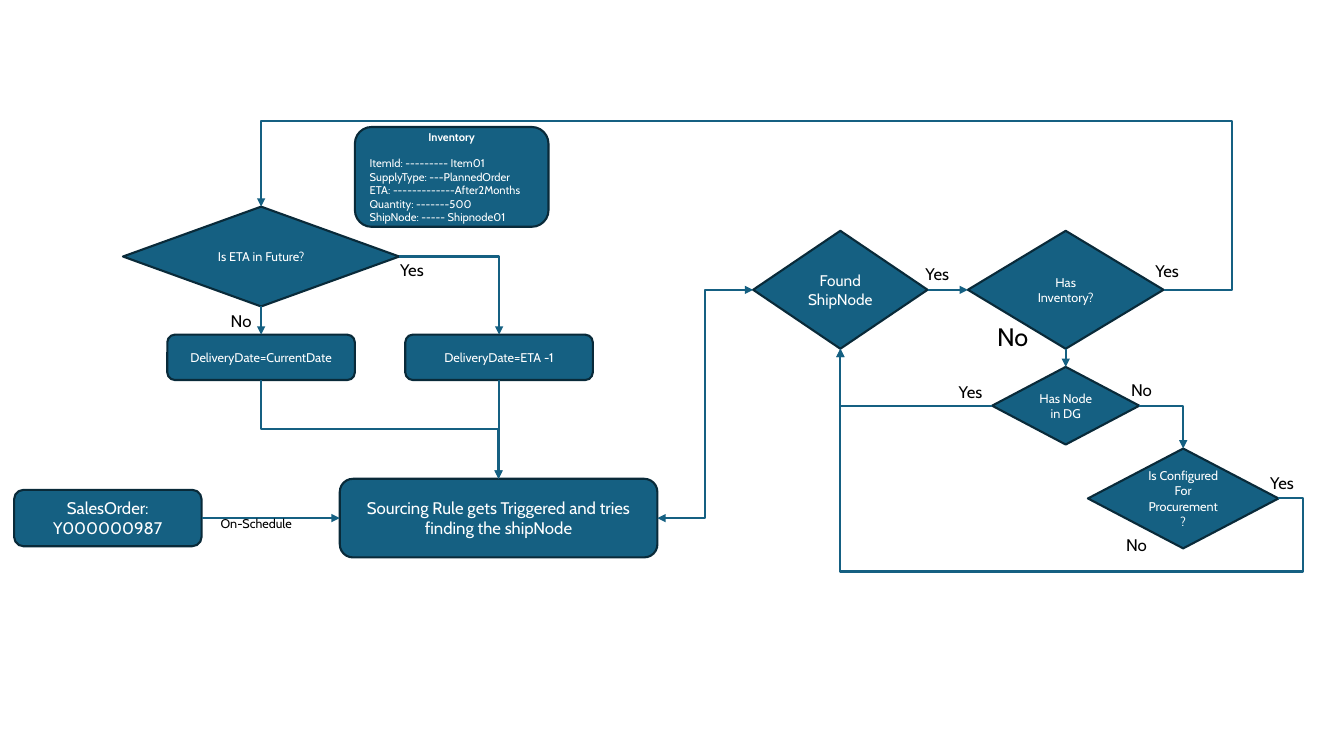
"""Build the order sourcing flowchart slide."""
from dataclasses import dataclass
from enum import IntEnum
from typing import Any, Optional

from pptx import Presentation
from pptx.dml.color import RGBColor
from pptx.enum.shapes import MSO_CONNECTOR, MSO_SHAPE
from pptx.enum.text import MSO_ANCHOR, MSO_AUTO_SIZE, PP_ALIGN
from pptx.oxml.ns import qn
from pptx.oxml.xmlchemy import OxmlElement
from pptx.shapes.autoshape import Shape
from pptx.slide import Slide
from pptx.text.text import TextFrame
from pptx.util import Inches, Pt


@dataclass(frozen=True)
class Theme:
    font: str = "Cabin"
    fill: RGBColor = RGBColor(0x15, 0x60, 0x82)
    outline: RGBColor = RGBColor(0x09, 0x2A, 0x39)
    light: RGBColor = RGBColor(0xFF, 0xFF, 0xFF)
    dark: RGBColor = RGBColor(0x00, 0x00, 0x00)
    line: float = 1.5
    tiny: float = 8
    small: float = 9
    medium: float = 11
    normal: float = 12
    large: float = 18


THEME = Theme()


class Side(IntEnum):
    TOP = 0
    LEFT = 1
    BOTTOM = 2
    RIGHT = 3


@dataclass(frozen=True)
class Node:
    name: str
    preset: MSO_SHAPE
    left: float
    top: float
    width: float
    height: float
    lines: tuple[str, ...]
    size: float = THEME.small


@dataclass(frozen=True)
class Label:
    text: str
    left: float
    top: float
    width: float = 0.58
    height: float = 0.3
    size: float = THEME.normal


@dataclass(frozen=True)
class Elbow:
    bends: int
    rotation: int = 0
    flips: str = ""
    adjustments: tuple[float, ...] = ()


@dataclass(frozen=True)
class Link:
    source: str
    source_side: Side
    target: str
    target_side: Side
    elbow: Optional[Elbow] = None
    two_way: bool = False


BOX, DIAMOND = MSO_SHAPE.ROUNDED_RECTANGLE, MSO_SHAPE.DIAMOND

NODES = (
    Node("order", BOX, 0.14, 4.86, 1.86, 0.56, ("SalesOrder:", "Y000000987"), THEME.normal),
    Node("found", DIAMOND, 7.47, 2.29, 1.73, 1.17, ("Found ShipNode",), THEME.medium),
    Node("stock", DIAMOND, 9.6, 2.29, 1.94, 1.17, ("Has Inventory?",)),
    Node("group", DIAMOND, 9.84, 3.64, 1.46, 0.77, ("Has Node in DG",)),
    Node("procurement", DIAMOND, 10.79, 4.45, 1.89, 0.99, ("Is Configured For Procurement ?",)),
    Node("sourcing", BOX, 3.37, 4.75, 3.15, 0.78,
         ("Sourcing Rule gets Triggered and tries finding the shipNode",), THEME.normal),
    Node("eta", DIAMOND, 1.22, 2.05, 2.74, 0.99, ("Is ETA in Future?",)),
    Node("current", BOX, 1.66, 3.32, 1.86, 0.45, ("DeliveryDate=CurrentDate",)),
    Node("later", BOX, 4.02, 3.32, 1.86, 0.45, ("DeliveryDate=ETA -1",)),
)

INVENTORY = Node("inventory", BOX, 3.52, 1.26, 1.92, 0.99, (
    "Inventory", "ItemId: --------- Item01", "SupplyType: ---PlannedOrder",
    "ETA: -------------After2Months", "Quantity: -------500", "ShipNode: ----- Shipnode01",
), THEME.tiny)

LINKS = (
    Link("order", Side.RIGHT, "sourcing", Side.LEFT),
    Link("found", Side.RIGHT, "stock", Side.LEFT, Elbow(3, flips="V")),
    Link("stock", Side.RIGHT, "eta", Side.TOP, Elbow(4, 180, "", (-0.076, 2.026))),
    Link("group", Side.LEFT, "found", Side.BOTTOM, Elbow(2, 180)),
    Link("stock", Side.BOTTOM, "group", Side.TOP),
    Link("group", Side.RIGHT, "procurement", Side.TOP, Elbow(2)),
    Link("procurement", Side.RIGHT, "found", Side.BOTTOM, Elbow(4, 0, "HV", (-0.057, -0.489))),
    Link("eta", Side.BOTTOM, "current", Side.TOP),
    Link("eta", Side.RIGHT, "later", Side.TOP, Elbow(2)),
    Link("current", Side.BOTTOM, "sourcing", Side.TOP, Elbow(3, 270, "H", (0.5,))),
    Link("found", Side.LEFT, "sourcing", Side.RIGHT, Elbow(3, 180, "V"), two_way=True),
    Link("later", Side.BOTTOM, "sourcing", Side.TOP, Elbow(3, 90, "", (0.5,))),
)

LABELS = (
    Label("On-Schedule", 2.09, 5.07, 1.08, 0.25, THEME.small),
    Label("No", 9.79, 3.14, height=0.4, size=THEME.large),
    Label("Yes", 11.36, 2.54),
    Label("Yes", 9.08, 2.57),
    Label("Yes", 9.41, 3.74),
    Label("No", 11.12, 3.72),
    Label("No", 11.07, 5.26),
    Label("Yes", 12.5, 4.64),
    Label("Yes", 3.87, 2.53),
    Label("No", 2.19, 3.03),
)


def apply_format(target: Any, values: dict[str, Any]) -> None:
    for name, value in values.items():
        setattr(target, name, value)


def write_lines(frame: TextFrame, lines: tuple[str, ...], size: float,
                color: RGBColor, alignment: PP_ALIGN) -> None:
    frame.text = "\n".join(lines)
    for paragraph in frame.paragraphs:
        paragraph.alignment = alignment
        font = paragraph.runs[0].font
        apply_format(font, {"name": THEME.font, "size": Pt(size)})
        font.color.rgb = color


def add_node(slide: Slide, node: Node) -> Shape:
    shape = slide.shapes.add_shape(node.preset, Inches(node.left), Inches(node.top),
                                   Inches(node.width), Inches(node.height))
    shape.shadow.inherit = False
    shape.fill.solid()
    shape.fill.fore_color.rgb = THEME.fill
    shape.line.color.rgb = THEME.outline
    shape.line.width = Pt(THEME.line)
    apply_format(shape.text_frame, {"word_wrap": True, "vertical_anchor": MSO_ANCHOR.MIDDLE})
    write_lines(shape.text_frame, node.lines, node.size, THEME.light, PP_ALIGN.CENTER)
    return shape


def add_inventory(slide: Slide) -> None:
    heading, *rows = add_node(slide, INVENTORY).text_frame.paragraphs
    heading.runs[0].font.bold = True
    heading.space_after = Pt(9.6)
    for row in rows:
        row.alignment = PP_ALIGN.LEFT


def add_label(slide: Slide, label: Label) -> None:
    box = slide.shapes.add_textbox(Inches(label.left), Inches(label.top),
                                   Inches(label.width), Inches(label.height))
    apply_format(box.text_frame, {"word_wrap": True, "auto_size": MSO_AUTO_SIZE.SHAPE_TO_FIT_TEXT})
    write_lines(box.text_frame, (label.text,), label.size, THEME.dark, PP_ALIGN.LEFT)


def bend(connector: Any, elbow: Elbow) -> None:
    left, top, width, height = connector.left, connector.top, connector.width, connector.height
    if elbow.rotation % 180:
        shift = (width - height) // 2
        apply_format(connector, {"left": left + shift, "top": top - shift,
                                 "width": height, "height": width})
    properties = connector._element.spPr
    transform = properties.find(qn("a:xfrm"))
    transform.set("rot", str(elbow.rotation * 60000))
    for axis in "HV":
        transform.set(f"flip{axis}", str(int(axis in elbow.flips)))
    geometry = properties.find(qn("a:prstGeom"))
    geometry.set("prst", f"bentConnector{elbow.bends}")
    guides = geometry.find(qn("a:avLst"))
    for number, value in enumerate(elbow.adjustments, 1):
        guide = OxmlElement("a:gd")
        guide.set("name", f"adj{number}")
        guide.set("fmla", f"val {round(value * 100000)}")
        guides.append(guide)


def add_link(slide: Slide, link: Link, shapes: dict[str, Shape]) -> None:
    kind = MSO_CONNECTOR.ELBOW if link.elbow else MSO_CONNECTOR.STRAIGHT
    connector = slide.shapes.add_connector(kind, 0, 0, 0, 0)
    connector.begin_connect(shapes[link.source], link.source_side)
    connector.end_connect(shapes[link.target], link.target_side)
    if link.elbow:
        bend(connector, link.elbow)
    connector.line.color.rgb = THEME.fill
    connector.line.width = Pt(THEME.line)
    for tag in ("a:headEnd", "a:tailEnd") if link.two_way else ("a:tailEnd",):
        arrowhead = OxmlElement(tag)
        arrowhead.set("type", "triangle")
        connector.line._get_or_add_ln().append(arrowhead)
    connector._element.spPr.append(OxmlElement("a:effectLst"))


def main() -> None:
    presentation = Presentation()
    apply_format(presentation, {"slide_width": Inches(13.33), "slide_height": Inches(7.5)})
    slide = presentation.slides.add_slide(presentation.slide_layouts[6])
    add_inventory(slide)
    shapes = {node.name: add_node(slide, node) for node in NODES}
    for link in LINKS:
        add_link(slide, link, shapes)
    for label in LABELS:
        add_label(slide, label)
    presentation.save("out.pptx")


if __name__ == "__main__":
    main()
